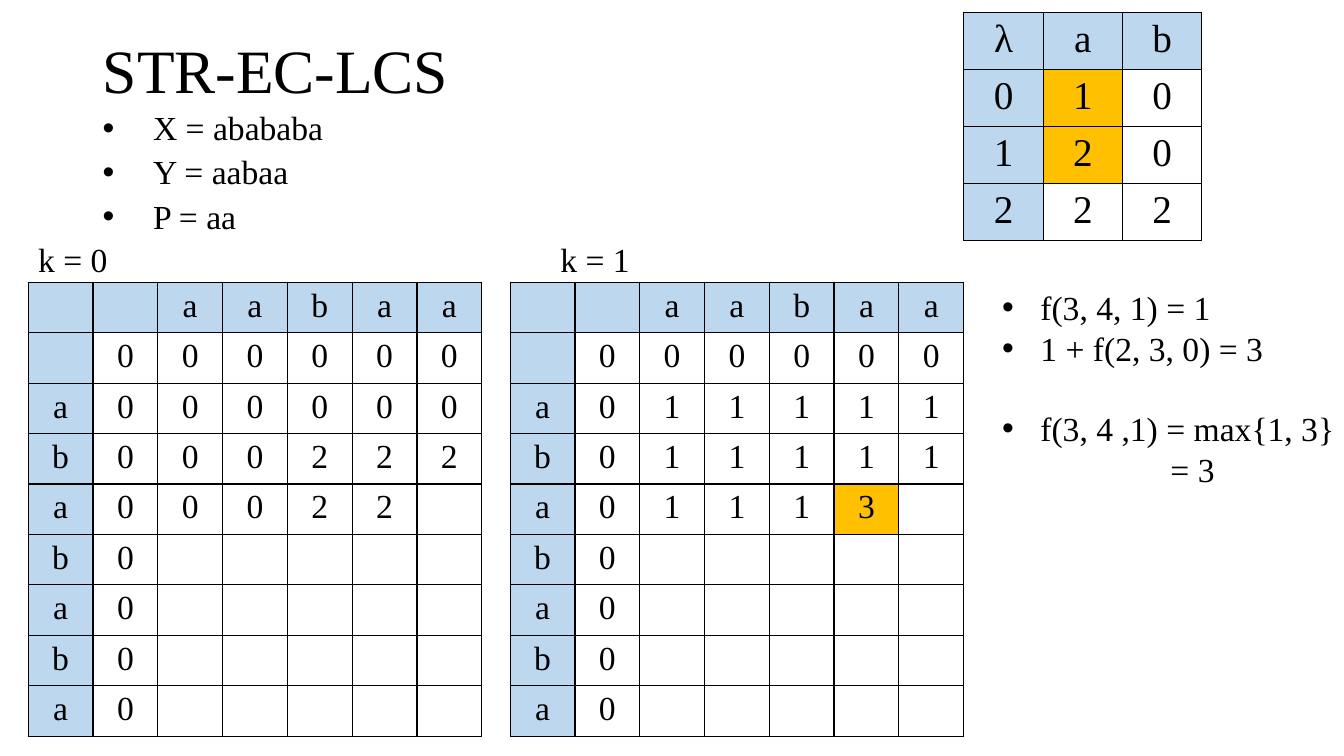
from dataclasses import dataclass

from lxml.etree import SubElement
from pptx import Presentation
from pptx.dml.color import RGBColor
from pptx.enum.text import MSO_ANCHOR as Anchor, MSO_AUTO_SIZE as AutoSize, PP_ALIGN as Align
from pptx.oxml.ns import qn
from pptx.util import Inches, Pt


@dataclass(frozen=True)
class Theme:
    font: str = "Times New Roman"
    ink: str = "000000"
    header: str = "BDD7EE"
    highlight: str = "FFC000"
    paper: str = "FFFFFF"
    title_size: int = 44
    matrix_size: int = 28
    body_size: int = 24
    border: int = 1


class SlideBuilder:
    def __init__(self, slide, theme):
        self.slide = slide
        self.theme = theme

    def add_run(self, paragraph, text, size):
        run = paragraph.add_run()
        run.text = text
        run.font.name = self.theme.font
        run.font.size = Pt(size)
        run.font.color.rgb = RGBColor.from_string(self.theme.ink)

    def add_title(self, text, left, top, width, height):
        title = self.slide.shapes.title
        title.left, title.top = Inches(left), Inches(top)
        title.width, title.height = Inches(width), Inches(height)
        frame = title.text_frame
        frame.auto_size = AutoSize.NONE
        frame.vertical_anchor = Anchor.MIDDLE
        paragraph = frame.paragraphs[0]
        paragraph.alignment = Align.LEFT
        paragraph.line_spacing = 0.9
        self.add_run(paragraph, text, self.theme.title_size)

    def add_text(self, left, top, width, height):
        box = self.slide.shapes.add_textbox(
            Inches(left), Inches(top), Inches(width), Inches(height))
        box.text_frame.word_wrap = True
        return box.text_frame

    def add_label(self, text, left, top, width, height):
        frame = self.add_text(left, top, width, height)
        self.add_run(frame.paragraphs[0], text, self.theme.body_size)

    def add_line(self, frame, text, indent, bullet=True, before=0, spacing=None):
        paragraph = frame.paragraphs[0]
        if paragraph.runs:
            paragraph = frame.add_paragraph()
            paragraph.space_before = Pt(before)
        if spacing:
            paragraph.line_spacing = spacing
        properties = paragraph._p.get_or_add_pPr()
        properties.set("marL", str(Inches(indent)))
        if bullet:
            properties.set("indent", str(-Inches(indent)))
            SubElement(properties, qn("a:buFont"), typeface="Arial")
            SubElement(properties, qn("a:buChar"), char="•")
        self.add_run(paragraph, text, self.theme.body_size)

    def add_borders(self, cell):
        properties = cell._tc.get_or_add_tcPr()
        for side in ("lnL", "lnR", "lnT", "lnB"):
            line = SubElement(properties, qn(f"a:{side}"), w=str(Pt(self.theme.border)))
            fill = SubElement(line, qn("a:solidFill"))
            SubElement(fill, qn("a:srgbClr"), val=self.theme.ink)

    def add_grid(self, rows, left, top, width, height, size, highlights):
        table = self.slide.shapes.add_table(
            len(rows), len(rows[0]), Inches(left), Inches(top),
            Inches(width), Inches(height)).table
        table.first_row = False
        table.horz_banding = False
        for row_index, row in enumerate(rows):
            for column_index, text in enumerate(row):
                cell = table.cell(row_index, column_index)
                self.add_borders(cell)
                if (row_index, column_index) in highlights:
                    color = self.theme.highlight
                elif row_index == 0 or column_index == 0:
                    color = self.theme.header
                else:
                    color = self.theme.paper
                cell.fill.solid()
                cell.fill.fore_color.rgb = RGBColor.from_string(color)
                paragraph = cell.text_frame.paragraphs[0]
                paragraph.alignment = Align.CENTER
                if text.strip():
                    self.add_run(paragraph, text, size)
                else:
                    paragraph.font.size = Pt(size)


def score_rows(x, y, scores):
    filled = [row.ljust(len(y) + 1) for row in scores]
    return [f"  {y}"] + [label + row for label, row in zip(f" {x}", filled)]


def main():
    presentation = Presentation()
    presentation.slide_width, presentation.slide_height = Inches(13.33), Inches(7.5)
    slide = presentation.slides.add_slide(presentation.slide_layouts[5])
    theme = Theme()
    builder = SlideBuilder(slide, theme)
    x, y = "abababa", "aabaa"

    builder.add_title("STR-EC-LCS", 0.92, 0, 11.5, 1.45)

    inputs = builder.add_text(0.92, 1.06, 11.5, 4.76)
    for text in (f"X = {x}", f"Y = {y}", "P = aa"):
        builder.add_line(inputs, text, 0.5, before=5.6, spacing=0.9)

    unfilled = ["0"] * 4
    score_tables = (
        ("k = 0", 0.28, 0.28, ["000000", "000000", "000222", "00022"], set()),
        ("k = 1", 5.46, 5.06, ["000000", "011111", "011111", "01113"], {(4, 5)}),
    )
    for label, label_left, left, scores, highlights in score_tables:
        builder.add_label(label, label_left, 2.32, 1.5, 0.5)
        builder.add_grid(score_rows(x, y, scores + unfilled), left, 2.8, 4.5, 4.5,
                         theme.body_size, highlights)

    builder.add_grid(["λab", "010", "120", "222"], 9.56, 0.12, 2.36, 2.27,
                     theme.matrix_size, {(1, 1), (2, 1)})

    steps = builder.add_text(9.84, 2.8, 3.49, 2.52)
    steps.margin_right = 0
    builder.add_line(steps, "f(3, 4, 1) = 1", 0.38)
    builder.add_line(steps, "1 + f(2, 3, 0) = 3", 0.38)
    builder.add_line(steps, "f(3, 4 ,1) = max{1, 3}", 0.38, before=28.8)
    builder.add_line(steps, "= 3", 1.67, bullet=False)

    presentation.save("out.pptx")


if __name__ == "__main__":
    main()
